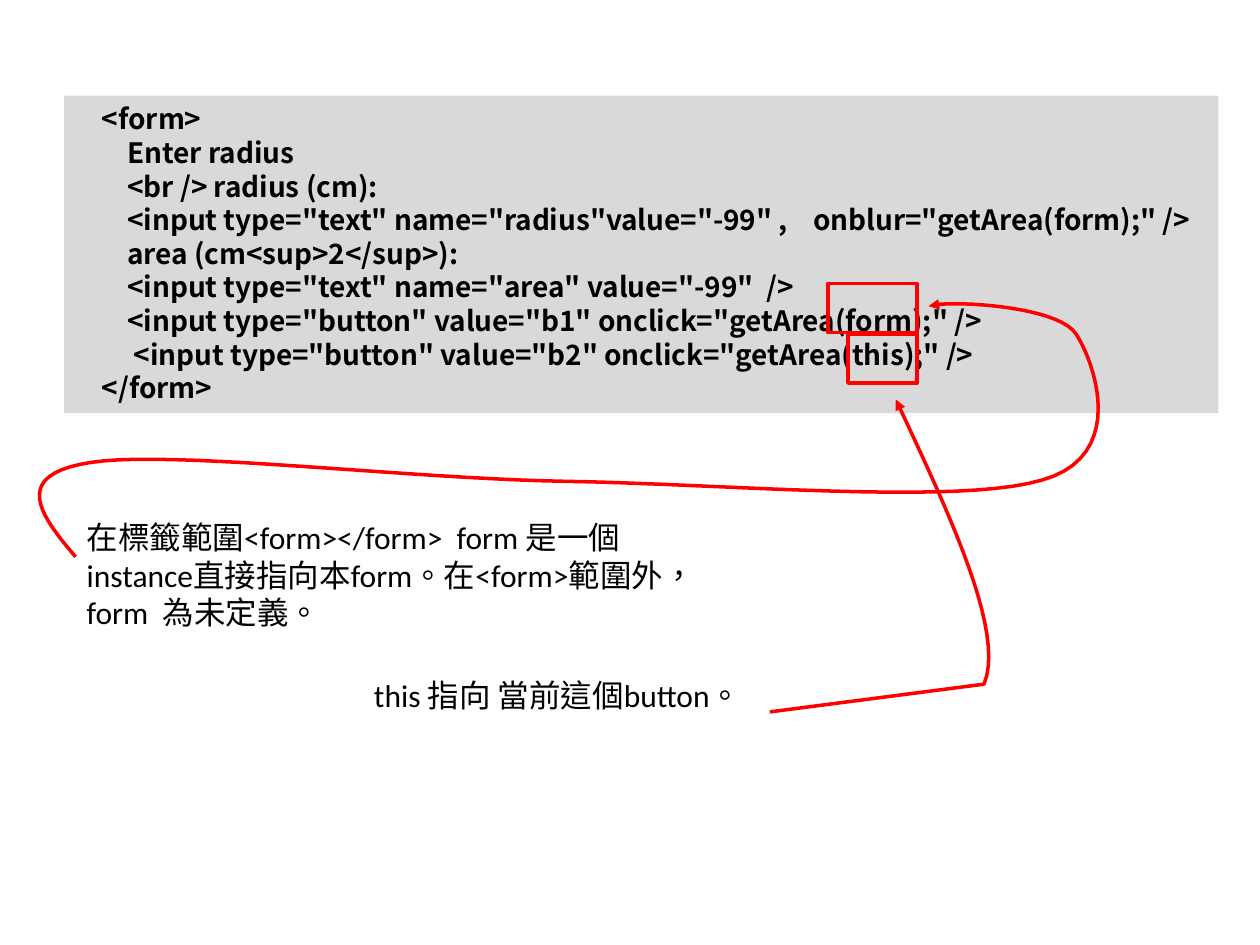
from pptx import Presentation
from pptx.dml.color import RGBColor
from pptx.enum.lang import MSO_LANGUAGE_ID
from pptx.enum.shapes import MSO_SHAPE
from pptx.enum.text import MSO_ANCHOR, MSO_AUTO_SIZE, PP_ALIGN
from pptx.oxml.ns import qn
from pptx.util import Inches, Pt
from lxml.etree import SubElement

COLORS = {"panel": "D9D9D9", "text": "000000", "mark": "FF0000"}

CODE_BOX = (0.51, 0.76, 9.16, 2.52)
CODE = [
    '    <form>',
    '        Enter radius',
    '        <br /> radius (cm):',
    '        <input type="text" name="radius"value="-99" ,    onblur="getArea(form);" /> '
    '\v        area (cm<sup>2</sup>):',
    '        <input type="text" name="area" value="-99"  />',
    '        <input type="button" value="b1" onclick="getArea(form);" />',
    '         <input type="button" value="b2" onclick="getArea(this);" />',
    '    </form>',
]
NOTES = [
    ((0.59, 4.06, 5, 1.01),
     "在標籤範圍<form></form>  form 是一個instance直接指向本form。在<form>範圍外，form  為未定義。"),
    ((2.87, 5.32, 5, 0.4), "this 指向 當前這個button。"),
]
HIGHLIGHTS = [(6.57, 2.25, 0.71, 0.39), (6.73, 2.65, 0.55, 0.39)]
# Each arrow: start point, then straight steps (one point) or curves (three points)
ARROWS = [
    ((0.6, 4.42), [
        [(0.33, 4.1), (0.07, 3.77), (0.72, 3.67)],
        [(1.36, 3.57), (3.24, 3.8), (4.49, 3.82)],
        [(5.75, 3.84), (7.6, 4.01), (8.27, 3.81)],
        [(8.95, 3.62), (8.69, 2.88), (8.54, 2.65)],
        [(8.39, 2.42), (7.5, 2.38), (7.37, 2.43)],
    ]),
    ((6.11, 5.65), [
        [(7.81, 5.43)],
        [(7.98, 5.02), (7.54, 4.09), (7.11, 3.17)],
    ]),
]
CURVE_STEPS = 20


def color(name):
    return RGBColor.from_string(COLORS[name])


def write(box, lines, font_name, size, bold=False, spacing=None):
    frame = box.text_frame
    frame.word_wrap = True
    frame.auto_size = MSO_AUTO_SIZE.SHAPE_TO_FIT_TEXT
    frame.vertical_anchor = MSO_ANCHOR.TOP
    frame.text = "\n".join(lines)
    for paragraph in frame.paragraphs:
        paragraph.alignment = PP_ALIGN.LEFT
        paragraph.line_spacing = spacing
        for span in paragraph.runs:
            span.font.name = font_name
            span.font.size = Pt(size)
            span.font.bold = bold
            span.font.color.rgb = color("text")
            span.font.language_id = MSO_LANGUAGE_ID.TRADITIONAL_CHINESE


def add_panel(page, area):
    panel = page.shapes.add_shape(MSO_SHAPE.RECTANGLE, *map(Inches, area))
    panel.shadow.inherit = False
    return panel


def outline(shape):
    shape.shadow.inherit = False
    shape.fill.background()
    shape.line.color.rgb = color("mark")
    shape.line.width = Pt(2)


def trace(start, steps):
    """Return the points along a path of straight steps and cubic curves."""
    points = [start]
    for step in steps:
        if len(step) == 1:
            points += step
            continue
        controls = [points[-1], *step]
        for index in range(1, CURVE_STEPS + 1):
            t = index / CURVE_STEPS
            weights = ((1 - t) ** 3, 3 * t * (1 - t) ** 2, 3 * t ** 2 * (1 - t), t ** 3)
            points.append(tuple(
                sum(weight * point[axis] for weight, point in zip(weights, controls))
                for axis in (0, 1)))
    return points


def add_arrow(page, start, steps):
    first, *rest = [(Inches(x), Inches(y)) for x, y in trace(start, steps)]
    builder = page.shapes.build_freeform(*first)
    builder.add_line_segments(rest, close=False)
    arrow = builder.convert_to_shape()
    outline(arrow)
    line = arrow.line._get_or_add_ln()
    SubElement(line, qn("a:tailEnd"), type="triangle")


def main():
    deck = Presentation()
    deck.slide_width, deck.slide_height = Inches(10), Inches(7.5)
    page = deck.slides.add_slide(deck.slide_layouts[6])

    code_panel = add_panel(page, CODE_BOX)
    code_panel.fill.solid()
    code_panel.fill.fore_color.rgb = color("panel")
    code_panel.line.fill.background()
    write(code_panel, CODE, "Noto Sans CJK SC", 16, bold=True, spacing=Pt(19.2))

    for area, note in NOTES:
        write(page.shapes.add_textbox(*map(Inches, area)), [note], "Calibri", 18)
    for area in HIGHLIGHTS:
        outline(add_panel(page, area))
    for start, steps in ARROWS:
        add_arrow(page, start, steps)

    deck.save("out.pptx")


if __name__ == "__main__":
    main()
